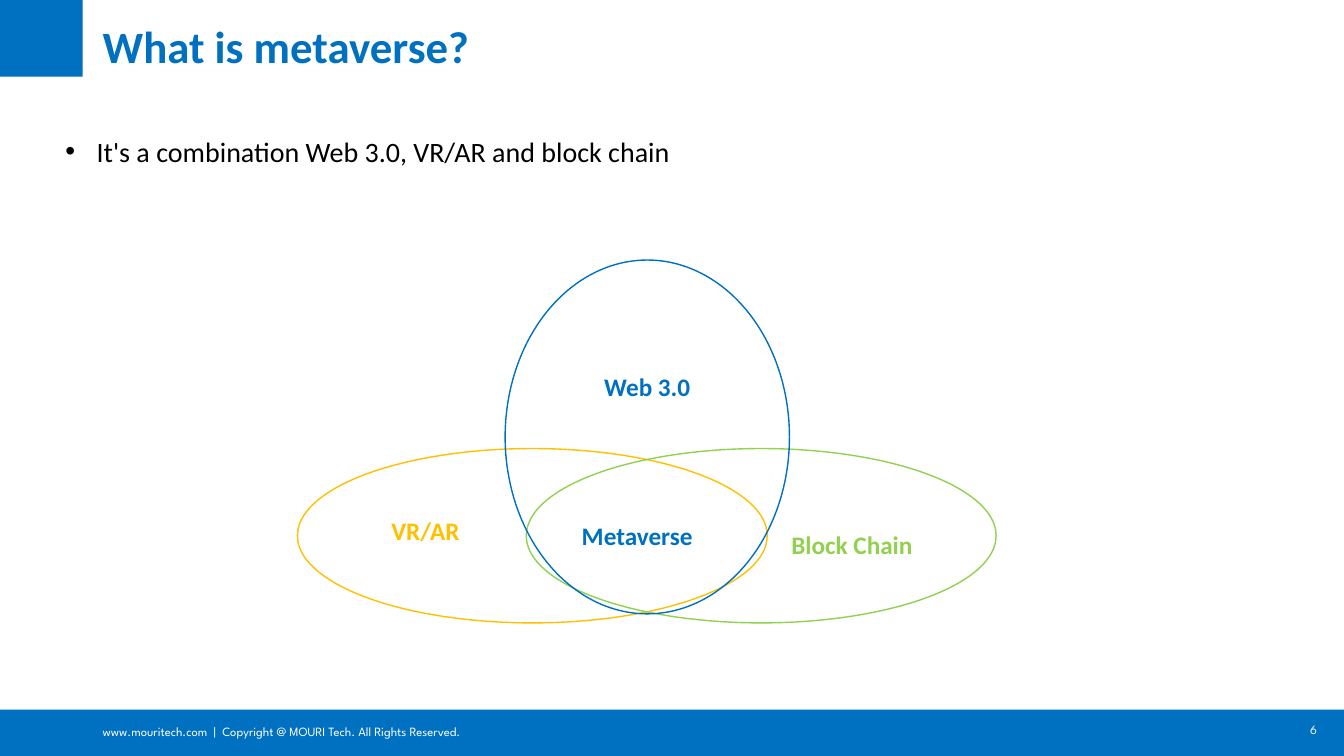
"""Build the slide that presents the metaverse as three overlapping ellipses."""
from lxml.etree import SubElement
from pptx import Presentation
from pptx.dml.color import RGBColor
from pptx.enum.shapes import MSO_SHAPE as Shape
from pptx.enum.text import MSO_ANCHOR as Anchor, PP_ALIGN as Align
from pptx.oxml.ns import qn
from pptx.util import Inches, Pt

THEME = {
    "blue": "0070C0", "amber": "FFC000", "green": "92D050",
    "black": "000000", "white": "FFFFFF",
    "font": "Calibri", "footer_font": "League Spartan",
    "title": 32, "body": 20, "label": 18, "footer": 9, "line": 1,
}
SIZE = (13.33, 7.5)
TITLE = "What is metaverse?"
BULLET = "It's a combination Web 3.0, VR/AR and block chain"
COPYRIGHT = "www.mouritech.com  |  Copyright @ MOURI Tech. All Rights Reserved."
PAGE = "6"
BARS = [(0, 7.04, 13.33, 0.46), (0, 0, 0.82, 0.76)]
ELLIPSES = [
    ((2.95, 4.45, 4.66, 1.73), "amber"),
    ((5.22, 4.45, 4.66, 1.73), "green"),
    ((5.01, 2.58, 2.82, 3.51), "blue"),
]
LABELS = [
    ("Web 3.0", 4.92, 3.63, "blue"),
    ("Block Chain", 6.95, 5.2, "green"),
    ("VR/AR", 2.72, 5.06, "amber"),
    ("Metaverse", 4.82, 5.11, "blue"),
]
LABEL_SIZE = (3, 0.4)
INDENT = 0.31


def color(name):
    """Return a theme colour."""
    return RGBColor.from_string(THEME[name])


def add_shape(s, kind, box, fill=None, line=None):
    """Add a preset shape with a plain fill or outline."""
    sp = s.shapes.add_shape(kind, *map(Inches, box))
    sp.shadow.inherit = False
    if fill:
        sp.fill.solid()
        sp.fill.fore_color.rgb = color(fill)
    else:
        sp.fill.background()
    if line:
        sp.line.color.rgb = color(line)
        sp.line.width = Pt(THEME["line"])
    else:
        sp.line.fill.background()


def add_text(s, text, box, size="label", fill="blue", font="font", bold=False,
             align=Align.LEFT, anchor=Anchor.TOP, spacing=None, bullet=False):
    """Add a one-paragraph text box."""
    tf = s.shapes.add_textbox(*map(Inches, box)).text_frame
    tf.word_wrap = True
    tf.vertical_anchor = anchor
    p = tf.paragraphs[0]
    p.alignment = align
    if bullet:
        props = p._p.get_or_add_pPr()
        props.set("marL", str(Inches(INDENT)))
        props.set("indent", str(-Inches(INDENT)))
        SubElement(props, qn("a:buFont"), typeface="Arial")
        SubElement(props, qn("a:buChar"), char="•")
    if spacing:
        p.line_spacing = spacing
    r = p.add_run()
    r.text = text
    r.font.name = THEME[font]
    r.font.size = Pt(THEME[size])
    r.font.bold = bold
    r.font.color.rgb = color(fill)


def main():
    """Compose and save the slide."""
    prs = Presentation()
    prs.slide_width, prs.slide_height = map(Inches, SIZE)
    s = prs.slides.add_slide(prs.slide_layouts[6])
    for box in BARS:
        add_shape(s, Shape.RECTANGLE, box, fill="blue")
    footer = {"size": "footer", "fill": "white", "font": "footer_font"}
    add_text(s, PAGE, (12.31, 7.11, 0.85, 0.25), align=Align.RIGHT, **footer)
    add_text(s, COPYRIGHT, (0.92, 7.13, 4.9, 0.25), **footer)
    add_text(s, TITLE, (0.92, 0.05, 11.89, 0.88), size="title", bold=True,
             anchor=Anchor.MIDDLE, spacing=0.9)
    for box, line in ELLIPSES:
        add_shape(s, Shape.OVAL, box, line=line)
    for text, left, top, fill in LABELS:
        add_text(s, text, (left, top, *LABEL_SIZE), fill=fill, bold=True,
                 align=Align.CENTER)
    add_text(s, BULLET, (0.55, 1.05, 11.98, 5.56), size="body", fill="black",
             spacing=1.7, bullet=True)
    prs.save("out.pptx")


if __name__ == "__main__":
    main()
